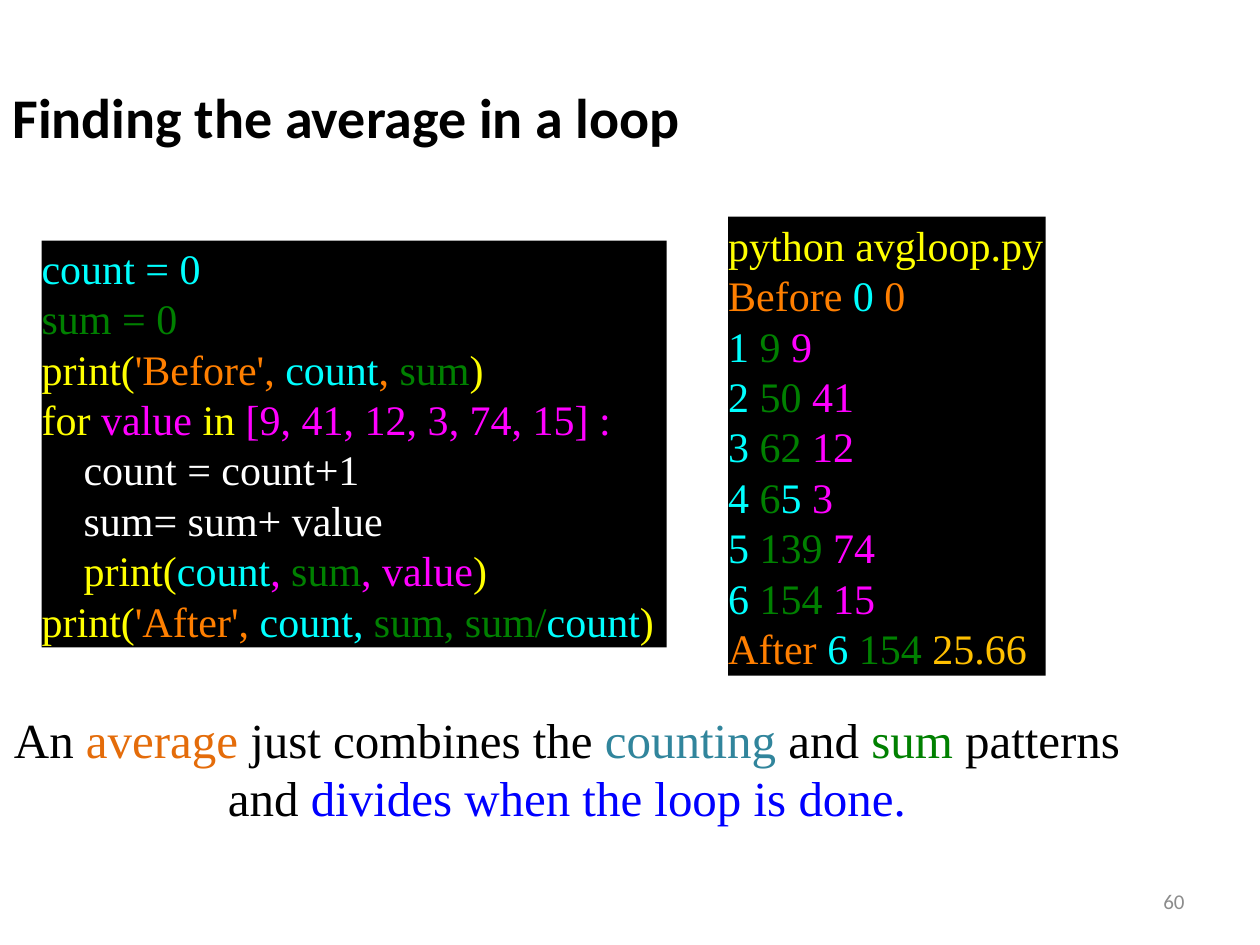
"""Build the slide on finding an average in a loop."""
from pptx import Presentation
from pptx.dml.color import RGBColor
from pptx.enum.shapes import MSO_SHAPE
from pptx.enum.text import MSO_ANCHOR, PP_ALIGN
from pptx.util import Cm, Pt

CYAN, GREEN, YELLOW, ORANGE = "00FFFF", "008000", "FFFF00", "FF7F00"
MAGENTA, WHITE, BLACK, GOLD = "FF00FF", "FFFFFF", "000000", "FFC000"


def rgb(value):
    return RGBColor.from_string(value)


def write(tf, lines, size, font="Times New Roman", align=PP_ALIGN.LEFT, spacing=None, bold=False):
    for i, line in enumerate(lines):
        p = tf.add_paragraph() if i else tf.paragraphs[0]
        p.alignment = align
        p.line_spacing = spacing
        p.font.size, p.font.name, p.font.bold = Pt(size), font, bold
        for text, color in line:
            r = p.add_run()
            r.text = text
            r.font.color.rgb = rgb(color)


prs = Presentation()
prs.slide_width, prs.slide_height = Cm(25.4), Cm(19.05)
s = prs.slides.add_slide(prs.slide_layouts[6])

title = [[("Finding the average in a loop", BLACK)]]
number = [[("60", "8C8C8C")]]
summary = [[("An ", BLACK), ("average", "E46C0A"), (" just combines the ", BLACK),
            ("counting", "31859C"), (" and ", BLACK), ("sum", GREEN),
            (" patterns and ", BLACK), ("divides when the loop is done.", "0000FF")]]
texts = [
    ((0, 0.76, 22.86, 3.18), MSO_ANCHOR.MIDDLE, title, dict(size=32, font="Calibri", bold=True)),
    ((18.21, 17.65, 5.92, 1.02), MSO_ANCHOR.MIDDLE, number,
     dict(size=12, font="Calibri", align=PP_ALIGN.RIGHT)),
    ((0, 14.17, 22.86, 2.84), MSO_ANCHOR.TOP, summary,
     dict(size=28, align=PP_ALIGN.CENTER, spacing=Pt(33.6))),
]
for box, anchor, lines, style in texts:
    tf = s.shapes.add_textbox(*map(Cm, box)).text_frame
    tf.word_wrap = True
    tf.vertical_anchor = anchor
    write(tf, lines, **style)

code = [
    [("count = 0", CYAN)],
    [("sum = 0", GREEN)],
    [("print(", YELLOW), ("'Before', ", ORANGE), ("count", CYAN), (", ", ORANGE),
     ("sum", GREEN), (")", YELLOW)],
    [("for", YELLOW), (" value ", MAGENTA), ("in", YELLOW), (" [9, 41, 12, 3, 74, 15] :", MAGENTA)],
    [("    count = count+1", WHITE)],
    [("    sum= sum+ value", WHITE)],
    [("    print(", YELLOW), ("count", CYAN), (", ", MAGENTA), ("sum", GREEN),
     (", value", MAGENTA), (")", YELLOW)],
    [("print(", YELLOW), ("'After', ", ORANGE), ("count, ", CYAN), ("sum, sum/", GREEN),
     ("count", CYAN), (")", YELLOW)],
]
output = [
    [("python avgloop.py", YELLOW)],
    [("Before ", ORANGE), ("0", CYAN), (" 0", ORANGE)],
    [("1 ", CYAN), ("9 ", GREEN), ("9", MAGENTA)],
    [("2 ", CYAN), ("50 ", GREEN), ("41", MAGENTA)],
    [("3 ", CYAN), ("62 ", GREEN), ("12", MAGENTA)],
    [("4 ", CYAN), ("6", GREEN), ("5 ", CYAN), ("3", MAGENTA)],
    [("5 ", CYAN), ("139 ", GREEN), ("74", MAGENTA)],
    [("6 ", CYAN), ("154 ", GREEN), ("15", MAGENTA)],
    [("After ", ORANGE), ("6 ", CYAN), ("154 ", GREEN), ("25.66", GOLD)],
]
panels = [((0.84, 4.85, 12.6, 8.2), code, True), ((14.68, 4.37, 6.4, 9.25), output, False)]
for box, lines, wrap in panels:
    sp = s.shapes.add_shape(MSO_SHAPE.RECTANGLE, *map(Cm, box))
    sp.shadow.inherit = False
    sp.fill.solid()
    sp.fill.fore_color.rgb = rgb(BLACK)
    sp.line.fill.background()
    tf = sp.text_frame
    tf.margin_left = tf.margin_right = tf.margin_top = tf.margin_bottom = 0
    tf.vertical_anchor = MSO_ANCHOR.MIDDLE
    tf.word_wrap = wrap
    write(tf, lines, 24, spacing=Pt(28.8))

prs.save("out.pptx")
